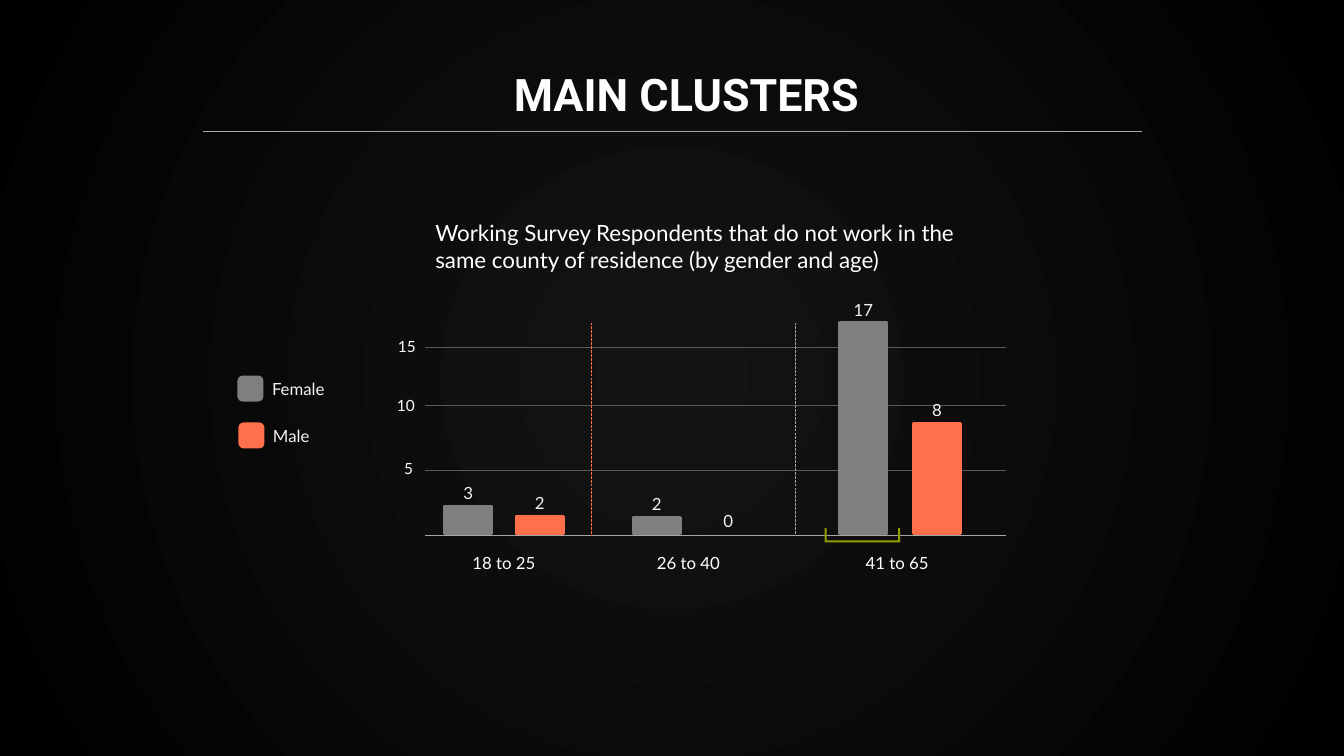
from dataclasses import dataclass

from lxml import etree
from pptx import Presentation
from pptx.dml.color import RGBColor
from pptx.enum.dml import MSO_LINE
from pptx.enum.shapes import MSO_CONNECTOR, MSO_SHAPE
from pptx.enum.text import MSO_ANCHOR, MSO_AUTO_SIZE, PP_ALIGN
from pptx.oxml.ns import qn
from pptx.util import Inches, Pt

STRAIGHT = MSO_CONNECTOR.STRAIGHT
RECTANGLE, ROUNDED = MSO_SHAPE.RECTANGLE, MSO_SHAPE.ROUNDED_RECTANGLE
LEFT, CENTER = PP_ALIGN.LEFT, PP_ALIGN.CENTER
TOP, BOTTOM = MSO_ANCHOR.TOP, MSO_ANCHOR.BOTTOM
FIXED = MSO_AUTO_SIZE.NONE
DASHED = MSO_LINE.LONG_DASH

COLUMNS, ROWS = 133.33, 75
CELL = Inches(0.1)


@dataclass(frozen=True)
class Theme:
    center: str = "141414"
    edge: str = "000000"
    white: str = "FFFFFF"
    soft_white: str = "F2F2F2"
    rule: str = "A6A6A6"
    grid: str = "595959"
    female: str = "7F7F7F"
    male: str = "FF704B"
    bracket: str = "92A000"
    heading_font: str = "Roboto"
    body_font: str = "Lato"
    heading: int = 32
    subtitle: int = 16
    label: int = 12
    scale: int = 11


def grid(value):
    return round(value * CELL)


def apply(target, values):
    for name, value in values.items():
        setattr(target, name, value)


class SlideBuilder:
    def __init__(self, page, theme):
        self.page = page
        self.theme = theme

    def background(self):
        fill = self.page.background.fill
        fill.gradient()
        for stop, color in zip(fill.gradient_stops, (self.theme.center, self.theme.edge)):
            stop.color.rgb = RGBColor.from_string(color)
        gradient = self.page._element.find(".//" + qn("a:gradFill"))
        gradient.remove(gradient.find(qn("a:lin")))
        circle = etree.SubElement(gradient, qn("a:path"), {"path": "circle"})
        sides = dict.fromkeys("ltrb", "50000")
        etree.SubElement(circle, qn("a:fillToRect"), sides)

    def text(self, words, column, row, width, height, size, color=None,
             align=LEFT, anchor=TOP, font=None, bold=False, inset=0.05):
        box = self.page.shapes.add_textbox(*map(grid, (column, row, width, height)))
        frame = box.text_frame
        apply(frame, {"word_wrap": True, "auto_size": FIXED, "vertical_anchor": anchor,
                      "margin_top": Inches(inset), "margin_bottom": Inches(inset)})
        para = frame.paragraphs[0]
        para.alignment = align
        span = para.add_run()
        span.text = words
        apply(span.font, {"name": font or self.theme.body_font,
                          "size": Pt(size), "bold": bold})
        span.font.color.rgb = RGBColor.from_string(color or self.theme.white)

    def line(self, start, end, color, weight=0.25, dash=None):
        rule = self.page.shapes.add_connector(STRAIGHT, *map(grid, start + end))
        apply(rule.line, {"width": Pt(weight), "dash_style": dash})
        rule.line.color.rgb = RGBColor.from_string(color)
        etree.SubElement(rule._element.spPr, qn("a:effectLst"))

    def block(self, kind, column, row, width, height, color):
        shape = self.page.shapes.add_shape(kind, *map(grid, (column, row, width, height)))
        self.paint(shape, color)
        shape.line.width = Pt(2)
        shape.line.color.rgb = RGBColor.from_string(color)

    def outline(self, points, color):
        corners = [tuple(map(grid, point)) for point in points]
        builder = self.page.shapes.build_freeform(*corners[0])
        builder.add_line_segments(corners[1:], close=True)
        shape = builder.convert_to_shape()
        self.paint(shape, color)
        shape.line.fill.background()

    def paint(self, shape, color):
        shape.shadow.inherit = False
        shape.fill.solid()
        shape.fill.fore_color.rgb = RGBColor.from_string(color)


def build_heading(slide, theme):
    slide.text("MAIN CLUSTERS", 18.8, 6.4, 98.6, 6.6, theme.heading, align=CENTER,
               anchor=BOTTOM, font=theme.heading_font, bold=True, inset=0.1)
    slide.line((20.1, 13), (113.3, 13), theme.rule, 0.75)


def build_axes(slide, theme):
    left, right, base = 42.2, 99.8, 53.1
    slide.line((left, base), (right, base), theme.rule)
    for row in (46.6, 40.2, 34.4):
        slide.line((left, row), (right, row), theme.grid)
    slide.text("Working Survey Respondents that do not work in the same county "
               "of residence (by gender and age)", left, 21.3, 56.2, 6.4, theme.subtitle)
    for value, column, row in (("15", 38.5, 32.9), ("10", 38.4, 38.8), ("5", 39.1, 45.1)):
        slide.text(value, column, row, 4.7, 2.9, theme.scale)
    for column, color in ((58.6, theme.male), (78.9, theme.rule)):
        slide.line((column, 32), (column, base), color, dash=DASHED)
    for age, column in (("18 to 25", 43.2), ("26 to 40", 61.5), ("41 to 65", 82.2)):
        slide.text(age, column, 54.3, 13.6, 3, theme.label, align=CENTER)


def build_legend(slide, theme):
    for name, row, shift, color in (("Female", 37.4, 0, theme.female),
                                    ("Male", 42.05, 0.1, theme.male)):
        slide.block(ROUNDED, 23.7 + shift, row, 2.3, 2.3, color)
        slide.text(name, 26 + shift, row - 0.3, 7.8, 3, theme.label, theme.soft_white)


def build_bars(slide, theme):
    foot, width = 53, 4.7
    bars = (
        (3, 44.1, 50.2, theme.female),
        (2, 51.2, 51.2, theme.male),
        (2, 62.8, 51.3, theme.female),
        (0, 69.9, foot, theme.male),
        (17, 83.3, 32, theme.female),
        (8, 90.6, 42, theme.male),
    )
    for value, column, top, color in bars:
        if value:
            slide.block(RECTANGLE, column, top, width, foot - top - 0.05, color)
        slide.text(str(value), column, top - 2.8, width, 3, theme.label,
                   theme.soft_white, CENTER)


def build_bracket(slide, theme):
    left, right, top, bottom, weight = 81.8, 89.3, 52.4, 53.8, 0.2
    slide.outline((
        (left, top), (left + weight, top),
        (left + weight, bottom - weight), (right - weight, bottom - weight),
        (right - weight, top), (right, top), (right, bottom), (left, bottom),
    ), theme.bracket)


def main():
    deck = Presentation()
    apply(deck, {"slide_width": grid(COLUMNS), "slide_height": grid(ROWS)})
    theme = Theme()
    slide = SlideBuilder(deck.slides.add_slide(deck.slide_layouts[6]), theme)
    slide.background()
    for build in (build_heading, build_axes, build_legend, build_bars, build_bracket):
        build(slide, theme)
    deck.save("out.pptx")


if __name__ == "__main__":
    main()
